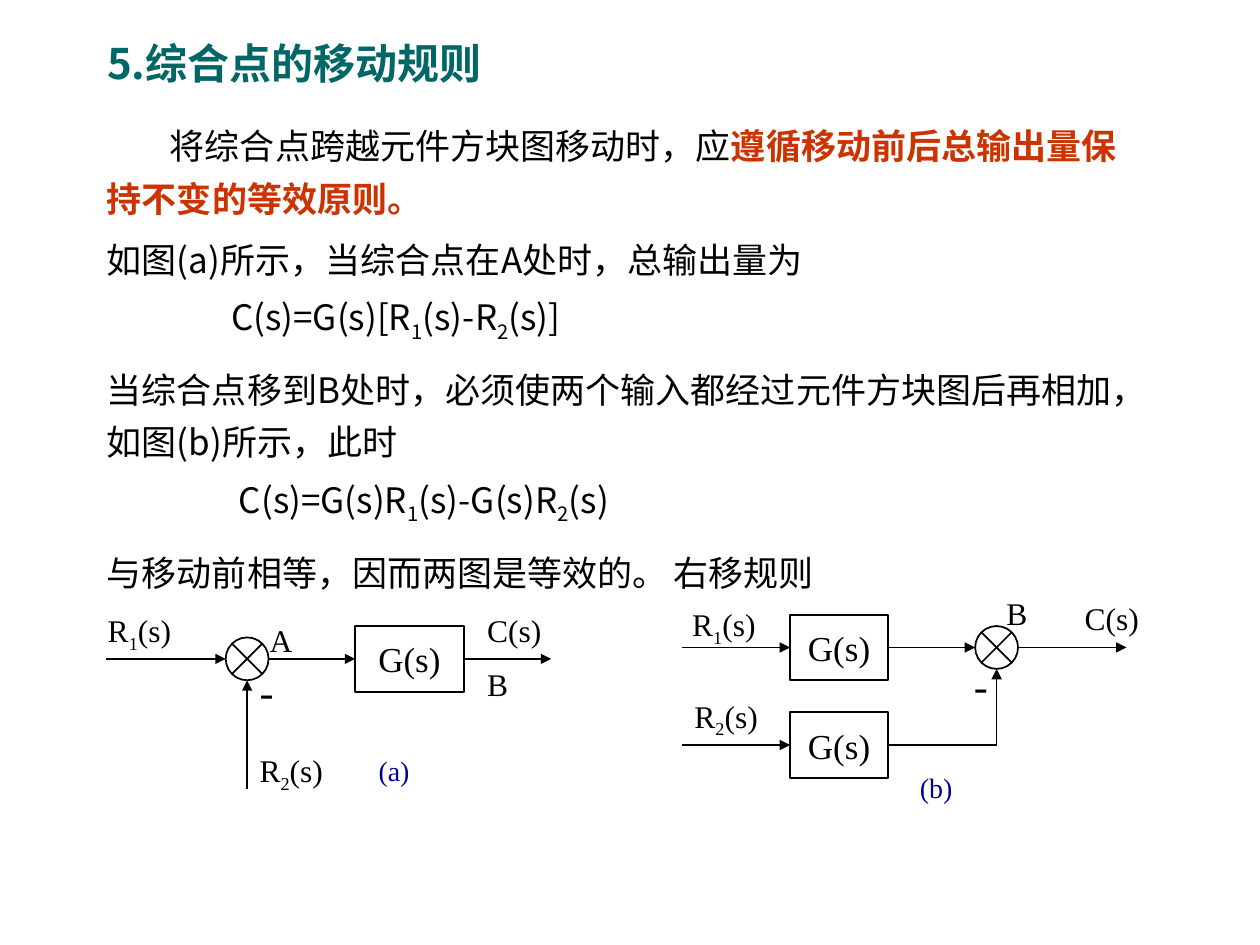
"""Build the slide on moving a summing point past a block."""
from typing import NamedTuple, Optional

import pptx
import pptx.dml.color
import pptx.enum.shapes
import pptx.enum.text
import pptx.oxml.ns
import pptx.util
from lxml import etree

Pt = pptx.util.Pt
RGBColor = pptx.dml.color.RGBColor
Kind = pptx.enum.shapes.MSO_SHAPE
Text = pptx.enum.text

BLACK = RGBColor(0, 0, 0)
TEAL = RGBColor(0, 0x66, 0x66)
RED = RGBColor(0xCC, 0x33, 0)
NAVY = RGBColor(0, 0, 0x99)
SERIF = "Times New Roman"
SANS = "Noto Sans CJK SC"
HEAD = "Noto Sans CJK JP"
ROW_A, ROW_B, ROW_C = 376.5, 370, 425.75
BLOCK_H, RING = 37.5, 24.5


class Label(NamedTuple):
    text: str
    left: float
    top: float
    width: float
    height: float = 29
    size: float = 18
    color: RGBColor = BLACK


class Block(NamedTuple):
    left: float
    mid: float
    width: float


class Line(NamedTuple):
    x1: float
    y1: float
    x2: float
    y2: float
    start: Optional[int] = None
    end: Optional[int] = None
    arrow: bool = True


class Para(NamedTuple):
    text: str
    before: float = 0
    indent: float = 0
    tab: float = 0


BLOCKS = [Block(203, ROW_A, 62), Block(451.5, ROW_B, 56), Block(451.5, ROW_C, 56)]
RINGS = [(141.25, ROW_A), (569.5, ROW_B)]
LINES = [
    Line(60.5, ROW_A, 129, ROW_A),
    Line(153.5, ROW_A, 203, ROW_A, end=0),
    Line(265, ROW_A, 315, ROW_A, start=0),
    Line(141.25, 451, 141.25, 388.75),
    Line(389.5, ROW_B, 451.5, ROW_B, end=1),
    Line(389.5, ROW_C, 451.5, ROW_C, end=2),
    Line(507.5, ROW_B, 557.25, ROW_B, start=1),
    Line(507.5, ROW_C, 569.5, ROW_C, start=2, arrow=False),
    Line(569.5, ROW_C, 569.5, 382.25),
    Line(581.75, ROW_B, 643.75, ROW_B),
]
LABELS = [
    Label("A", 147, 351.5, 27),
    Label("R|1|(s)", 54.5, 345.5, 50.5, 32),
    Label("R|2|(s)", 141.25, 425.75, 50.5, 32),
    Label("-", 141.25, 376.5, 22.5, 36, 24),
    Label("C(s)", 271.25, 345.5, 46),
    Label("B", 271.25, 376.5, 26),
    Label("R|1|(s)", 388.5, 342, 50.5, 32),
    Label("R|2|(s)", 389.75, 394.5, 50.5, 32),
    Label("B", 568, 336, 26),
    Label("C(s)", 612.75, 339, 45.5),
    Label("-", 549.5, 373.5, 22.5, 36, 24),
    Label("(a)", 209.25, 427, 32, 26.5, 16, NAVY),
    Label("(b)", 518.5, 437, 33, 26.5, 16, NAVY),
]
INTRO = Para("将综合点跨越元件方块图移动时，应|遵循移动前后总输出量保持不变的等效原则。", indent=36)
BODY = [
    Para("如图(a)所示，当综合点在A处时，总输出量为"),
    Para("C(s)=G(s)[R|1|(s)-R|2|(s)]", 5.5, 71),
    Para("当综合点移到B处时，必须使两个输入都经过元件方块图后再相加，如图(b)所示，此时", 8.5),
    Para("C(s)=G(s)R|1|(s)-G(s)R|2|(s)", 6, 75.5),
    Para("与移动前相等，因而两图是等效的。\t右移规则", 8.5, tab=338.5),
]


def style(run, size: float, color: RGBColor, face: str, bold: bool = False) -> None:
    """Give a run its font."""
    run.font.size, run.font.name, run.font.bold = Pt(size), face, bold
    run.font.color.rgb = color
    east = etree.SubElement(run.font._element, pptx.oxml.ns.qn("a:ea"))
    east.set("typeface", SANS if face == SERIF else face)


def write(para, text: str, size: float, color: RGBColor, face: str,
          strong: bool = False) -> None:
    """Split text at bars and make each second part a subscript or strong."""
    for i, part in enumerate(text.split("|")):
        run = para.add_run()
        run.text = part
        mark = i % 2 == 1
        style(run, size, RED if mark and strong else color, face, mark and strong)
        if mark and not strong:
            run.font._element.set("baseline", "-25000")


def box(slide, left: float, top: float, width: float, height: float, wrap: bool):
    """Add a text box and return its frame."""
    frame = slide.shapes.add_textbox(Pt(left), Pt(top), Pt(width), Pt(height)).text_frame
    frame.word_wrap = wrap
    return frame


def shape(para, item: Para, pitch: float) -> None:
    """Set the spacing, indent and tab of a paragraph."""
    para.line_spacing = Pt(pitch)
    para.space_before = Pt(item.before)
    prop = para._p.get_or_add_pPr()
    prop.set("marL", "0")
    prop.set("indent", str(Pt(item.indent)))
    if item.tab:
        tabs = etree.SubElement(prop, pptx.oxml.ns.qn("a:tabLst"))
        etree.SubElement(tabs, pptx.oxml.ns.qn("a:tab"), pos=str(Pt(item.tab)), algn="l")


def outline(slide, kind, left: float, top: float, width: float, height: float):
    """Add an unfilled shape with a thin black line."""
    form = slide.shapes.add_shape(kind, Pt(left), Pt(top), Pt(width), Pt(height))
    form.shadow.inherit = False
    form.fill.background()
    form.line.color.rgb, form.line.width = BLACK, Pt(1)
    return form


def block(slide, item: Block):
    """Add a transfer function block."""
    form = outline(slide, Kind.RECTANGLE, item.left, item.mid - BLOCK_H / 2,
                   item.width, BLOCK_H)
    frame = form.text_frame
    frame.word_wrap = False
    frame.vertical_anchor = Text.MSO_ANCHOR.MIDDLE
    para = frame.paragraphs[0]
    para.text, para.alignment = "G(s)", Text.PP_ALIGN.CENTER
    style(para.runs[0], 20, BLACK, SERIF)
    return form


def wire(slide, item: Line, forms: list) -> None:
    """Add a signal line, joined to its blocks."""
    link = slide.shapes.add_connector(
        pptx.enum.shapes.MSO_CONNECTOR.STRAIGHT,
        Pt(item.x1), Pt(item.y1), Pt(item.x2), Pt(item.y2))
    if item.start is not None:
        link.begin_connect(forms[item.start], 3)
    if item.end is not None:
        link.end_connect(forms[item.end], 1)
    link.line.color.rgb, link.line.width = BLACK, Pt(1)
    if item.arrow:
        etree.SubElement(link.line._get_or_add_ln(), pptx.oxml.ns.qn("a:tailEnd"),
                         type="triangle")
    etree.SubElement(link._element.spPr, pptx.oxml.ns.qn("a:effectLst"))


def main() -> None:
    """Draw the slide and save it."""
    deck = pptx.Presentation()
    deck.slide_width, deck.slide_height = Pt(720), Pt(540)
    slide = deck.slides.add_slide(deck.slide_layouts[5])
    title = slide.shapes.title
    title.left, title.top, title.width, title.height = Pt(54), Pt(18.5), Pt(504), Pt(48)
    frame = title.text_frame
    frame.text = "5.综合点的移动规则"
    frame.auto_size = Text.MSO_AUTO_SIZE.NONE
    frame.vertical_anchor = Text.MSO_ANCHOR.TOP
    para = frame.paragraphs[0]
    para.alignment, para.line_spacing = Text.PP_ALIGN.LEFT, Pt(28)
    style(para.runs[0], 24, TEAL, HEAD, True)

    para = box(slide, 54, 61, 594, 70, True).paragraphs[0]
    shape(para, INTRO, 30.5)
    write(para, INTRO.text, 20, BLACK, SERIF, True)
    frame = box(slide, 54, 127, 612, 210, True)
    for i, item in enumerate(BODY):
        para = frame.add_paragraph() if i else frame.paragraphs[0]
        shape(para, item, 30)
        write(para, item.text, 20, BLACK, SANS)

    forms = [block(slide, item) for item in BLOCKS]
    for x, y in RINGS:
        outline(slide, Kind.FLOWCHART_SUMMING_JUNCTION, x - RING / 2, y - RING / 2, RING, RING)
    for item in LINES:
        wire(slide, item, forms)
    for item in LABELS:
        frame = box(slide, item.left, item.top, item.width, item.height, False)
        write(frame.paragraphs[0], item.text, item.size, item.color, SERIF)
    deck.save("out.pptx")


if __name__ == "__main__":
    main()
